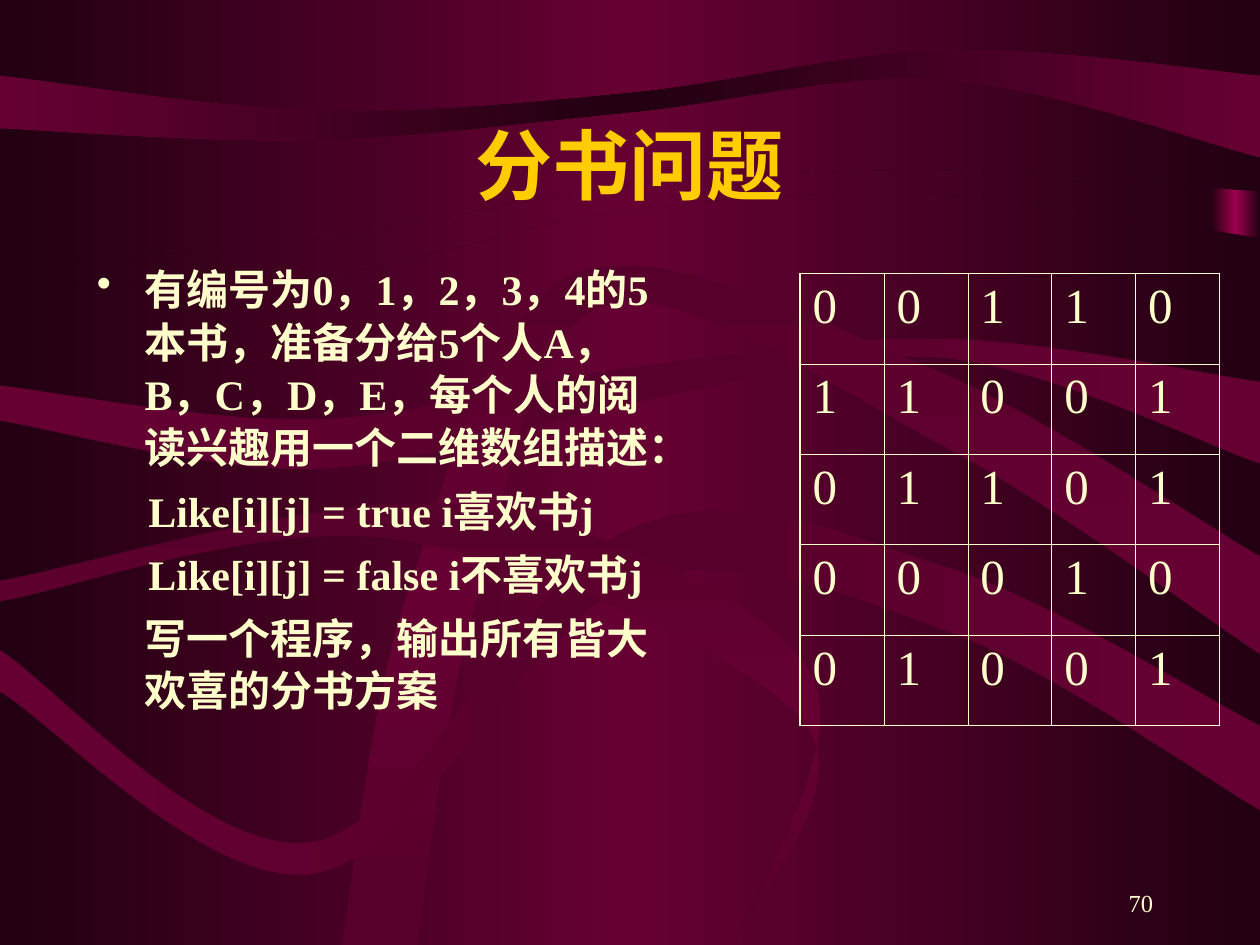
"""Build the book-sharing slide: ribbon backdrop, text and a table of likes."""
from copy import deepcopy
from dataclasses import dataclass

from lxml.etree import SubElement
from pptx import Presentation
from pptx.dml.color import RGBColor as RGB
from pptx.enum.shapes import MSO_SHAPE as Shape
from pptx.enum.text import MSO_ANCHOR as Anchor, PP_ALIGN as Align
from pptx.oxml.ns import qn
from pptx.util import Inches, Pt


@dataclass(frozen=True)
class Theme:
    font: str = "Times New Roman"
    gold: str = "FFCC00"
    cream: str = "FFFFCC"
    dark: str = "220011"
    wine: str = "660033"
    plum: str = "56002B"
    rose: str = "9C004E"
    title: int = 44
    body: int = 24
    cell: int = 28
    page: int = 14
    thick: float = 1.08
    thin: float = 0.45


def level(*tops):
    return [(10 * i / (len(tops) - 1), y) for i, y in enumerate(tops)]


def smooth(knots):
    ends = [knots[0], *knots, knots[-1]]
    for a, b, c, d in zip(ends, ends[1:], ends[2:], ends[3:]):
        lead = [q + (r - p) / 6 for p, q, r in zip(a, b, c)]
        tail = [q - (r - p) / 6 for p, q, r in zip(b, c, d)]
        yield lead, tail, c


class Deck:
    def __init__(self, theme):
        self.theme = theme
        self.show = Presentation()
        self.show.slide_width, self.show.slide_height = Inches(10), Inches(7.5)
        self.slide = self.show.slides.add_slide(self.show.slide_layouts[6])

    def blend(self, fill, root, edge, mid, angle=0):
        fill.gradient()
        fill.gradient_angle = angle
        stops = root.find(".//" + qn("a:gsLst"))
        stops.insert(1, deepcopy(stops[0]))
        for stop, tint, place in zip(fill.gradient_stops, (edge, mid, edge), (0, 0.5, 1)):
            stop.color.rgb = RGB.from_string(tint)
            stop.position = place

    def back(self, edge, mid):
        self.blend(self.slide.background.fill, self.slide.element, edge, mid)

    def finish(self, shape, edge, mid, angle=0):
        shape.shadow.inherit = False
        shape.line.fill.background()
        self.blend(shape.fill, shape.element, edge, mid, angle)

    def block(self, box, edge, mid):
        shape = self.slide.shapes.add_shape(Shape.RECTANGLE, *map(Inches, box))
        self.finish(shape, edge, mid)

    def ribbon(self, over, under, edge, mid, angle=0):
        under = under[::-1]
        steps = [*smooth(over), [under[0]], *smooth(under)]
        pen = self.slide.shapes.build_freeform(*map(Inches, over[0]))
        pen.add_line_segments([(Inches(x), Inches(y)) for step in steps for x, y in step])
        shape = pen.convert_to_shape()
        outline = shape.element.find(".//" + qn("a:path"))
        nodes = iter(outline.findall(qn("a:lnTo")))
        for step in steps:
            group = [next(nodes) for _ in step]
            if len(group) == 3:
                curve = SubElement(outline, qn("a:cubicBezTo"))
                group[0].addprevious(curve)
                for node in group:
                    curve.append(node[0])
                    outline.remove(node)
        self.finish(shape, edge, mid, angle)

    def style(self, para, size, tint, bold=False):
        para.font.name = self.theme.font
        para.font.size = Pt(size)
        para.font.bold = bold
        para.font.color.rgb = RGB.from_string(tint)

    def frame(self, box, anchor):
        frame = self.slide.shapes.add_textbox(*map(Inches, box)).text_frame
        frame.word_wrap = True
        frame.vertical_anchor = anchor
        return frame

    def text(self, box, words, size, tint, align, anchor, bold=False):
        para = self.frame(box, anchor).paragraphs[0]
        para.text = words
        para.alignment = align
        self.style(para, size, tint, bold)

    def body(self, box, items):
        frame = self.frame(box, Anchor.TOP)
        for num, (words, first, mark) in enumerate(items):
            para = frame.add_paragraph() if num else frame.paragraphs[0]
            para.text = words
            para.line_spacing = 1.05
            para.space_before = Pt(6 if num else 0)
            props = para._p.get_or_add_pPr()
            props.set("marL", str(Inches(0.38)))
            props.set("indent", str(Inches(first)))
            if mark:
                tint = SubElement(props, qn("a:buClr"))
                SubElement(tint, qn("a:srgbClr"), val=self.theme.cream)
                SubElement(props, qn("a:buChar"), char=mark)
            else:
                SubElement(props, qn("a:buNone"))
            self.style(para, self.theme.body, self.theme.cream, True)

    def edges(self, cell, outer):
        props = cell._tc.get_or_add_tcPr()
        for num, (side, rim) in enumerate(zip("LRTB", outer)):
            width = Pt(self.theme.thick if rim else self.theme.thin)
            line = SubElement(props, qn(f"a:ln{side}"), w=str(width))
            fill = SubElement(line, qn("a:solidFill"))
            SubElement(fill, qn("a:srgbClr"), val=self.theme.cream)
            props.insert(num, line)

    def table(self, box, rows):
        high, wide = len(rows), len(rows[0])
        table = self.slide.shapes.add_table(high, wide, *map(Inches, box)).table
        table.first_row = table.horz_banding = False
        for r, row in enumerate(rows):
            for c, mark in enumerate(row):
                cell = table.cell(r, c)
                cell.text = mark
                cell.fill.background()
                self.style(cell.text_frame.paragraphs[0], self.theme.cell, self.theme.cream)
                self.edges(cell, (c == 0, c == wide - 1, r == 0, r == high - 1))

    def save(self):
        self.show.save("out.pptx")


def main():
    look = Theme()
    deck = Deck(look)
    deck.back(look.dark, look.wine)
    deck.block((9.61, 0.49, 0.39, 3.45), look.dark, look.rose)
    deck.ribbon(level(0, 0), level(2.11, 1.9, 1.47, 1.35, 1.52), look.dark, look.wine)
    deck.ribbon(level(2.28, 2.2, 1.67, 1.55, 1.89), level(7.5, 7.5), look.dark, look.wine)
    deck.ribbon(level(0.6, 0.88, 0.74, 0.4, 0.6), level(1.02, 1.11, 0.89, 0.63, 1.25),
                look.wine, look.dark)
    deck.ribbon(level(3.06, 3.33, 2.92, 2.69, 3.03), level(3.34, 3.72, 3.2, 2.84, 3.68),
                look.wine, look.plum)
    deck.ribbon([(2.71, 7.5), (3.24, 4.7), (4.54, 2.18), (7.38, 2.92), (10, 4.42)],
                [(3.31, 7.5), (3.77, 4.8), (4.79, 2.43), (7.49, 3.54), (10, 5.19)],
                look.plum, look.wine, 270)
    deck.ribbon(level(5.16, 6.68, 4.2, 4.5, 5.76), level(5.49, 6.93, 4.64, 5, 6.43),
                look.wine, look.plum)
    deck.ribbon([(0, 4.61), (3.66, 4.01), (6.42, 5.32), (5.83, 7.5)],
                [(0, 4.77), (3.14, 4.28), (6.37, 5.72), (5.83, 7.5)],
                look.plum, look.wine, 270)
    deck.text((7.17, 6.83, 2.08, 0.5), "70", look.page, look.cream, Align.RIGHT, Anchor.BOTTOM)
    deck.text((0.75, 0.67, 8.5, 1.25), "分书问题", look.title, look.gold,
              Align.CENTER, Anchor.MIDDLE, True)
    deck.body((0.67, 2.02, 4.75, 4.81), [
        ("有编号为0，1，2，3，4的5本书，准备分给5个人A，B，C，D，E，"
         "每个人的阅读兴趣用一个二维数组描述：", -0.38, "•"),
        ("Like[i][j] = true i喜欢书j", 0.03, None),
        ("Like[i][j] = false i不喜欢书j", 0.03, None),
        ("写一个程序，输出所有皆大欢喜的分书方案", 0, None),
    ])
    deck.table((6.35, 2.17, 3.33, 3.59), ["00110", "11001", "01101", "00010", "01001"])
    deck.save()


if __name__ == "__main__":
    main()
